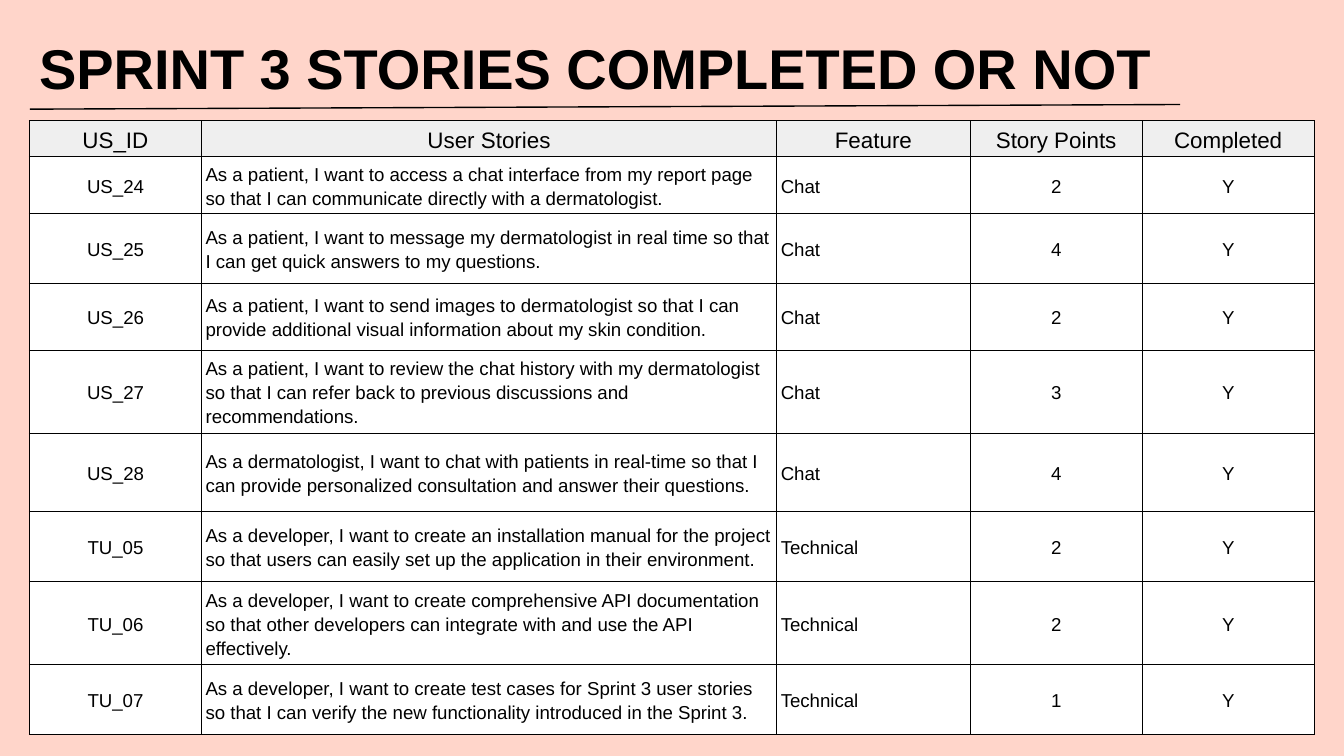
from lxml import etree
from pptx import Presentation
from pptx import util as u
from pptx.dml.color import RGBColor
from pptx.enum import shapes, text
from pptx.oxml.ns import qn

COLORS = {"background": "FFD5CA", "ink": "000000", "header": "EFEFEF", "body": "FFFFFF"}
COLUMN_WIDTHS = [92.16, 308.16, 103.68, 92.16, 92.16]
ROW_HEIGHTS = [19.3, 28.9, 37.5, 35.9, 41.8, 42.3, 37.5, 41.8, 37.5]
LEFT_ALIGNED = {"User Stories", "Feature"}
HEADINGS = ["US_ID", "User Stories", "Feature", "Story Points", "Completed"]
STORIES = [
    ("US_24", "As a patient, I want to access a chat interface from my report page "
     "so that I can communicate directly with a dermatologist.", "Chat", "2", "Y"),
    ("US_25", "As a patient, I want to message my dermatologist in real time so that "
     "I can get quick answers to my questions.", "Chat", "4", "Y"),
    ("US_26", "As a patient, I want to send images to dermatologist so that I can "
     "provide additional visual information about my skin condition.", "Chat", "2", "Y"),
    ("US_27", "As a patient, I want to review the chat history with my dermatologist "
     "so that I can refer back to previous discussions and recommendations.", "Chat", "3", "Y"),
    ("US_28", "As a dermatologist, I want to chat with patients in real-time so that I "
     "can provide personalized consultation and answer their questions.", "Chat", "4", "Y"),
    ("TU_05", "As a developer, I want to create an installation manual for the project "
     "so that users can easily set up the application in their environment.",
     "Technical", "2", "Y"),
    ("TU_06", "As a developer, I want to create comprehensive API documentation "
     "so that other developers can integrate with and use the API effectively.",
     "Technical", "2", "Y"),
    ("TU_07", "As a developer, I want to create test cases for Sprint 3 user stories "
     "so that I can verify the new functionality introduced in the Sprint 3.",
     "Technical", "1", "Y"),
]


class SlideBuilder:
    font_name = "Arial"

    def __init__(self, slide):
        self.slide = slide
        self.fill(slide.background, "background")

    def fill(self, target, color):
        target.fill.solid()
        target.fill.fore_color.rgb = RGBColor.from_string(COLORS[color])

    def style(self, paragraph, size, bold=False):
        font = paragraph.font
        font.name, font.size, font.bold = self.font_name, u.Pt(size), bold
        font.color.rgb = RGBColor.from_string(COLORS["ink"])

    def title(self, wording, left, top, width, height):
        box = self.slide.shapes.add_textbox(u.Pt(left), u.Pt(top), u.Pt(width), u.Pt(height))
        frame = box.text_frame
        frame.word_wrap = True
        frame.margin_left = frame.margin_right = u.Pt(7.2)
        frame.margin_top, frame.margin_bottom = u.Pt(11), 0
        frame.text = wording
        self.style(frame.paragraphs[0], 30, bold=True)

    def rule(self, start, end, width):
        line = self.slide.shapes.add_connector(
            shapes.MSO_CONNECTOR.STRAIGHT, *(u.Pt(value) for value in start + end))
        line.line.width = u.Pt(width)
        line.line.color.rgb = RGBColor.from_string(COLORS["ink"])
        etree.SubElement(line._element.spPr, qn("a:effectLst"))

    def borders(self, cell, width):
        """Outline all four sides; borders must precede the fill in the cell properties."""
        properties = cell._tc.get_or_add_tcPr()
        for index, side in enumerate(("a:lnL", "a:lnR", "a:lnT", "a:lnB")):
            border = etree.Element(qn(side), w=str(u.Pt(width)))
            solid = etree.SubElement(border, qn("a:solidFill"))
            etree.SubElement(solid, qn("a:srgbClr"), val=COLORS["ink"])
            properties.insert(index, border)

    def cell(self, cell, wording, size, color, align):
        cell.text = wording
        cell.vertical_anchor = text.MSO_ANCHOR.MIDDLE
        cell.margin_left = cell.margin_right = u.Pt(2.2)
        cell.margin_top = cell.margin_bottom = u.Pt(1.4)
        paragraph = cell.text_frame.paragraphs[0]
        paragraph.alignment = align
        paragraph.line_spacing = 1.15
        self.style(paragraph, size)
        self.fill(cell, color)
        self.borders(cell, 0.6)

    def table(self, headings, records, left, top):
        rows = [headings, *records]
        table = self.slide.shapes.add_table(
            len(rows), len(headings), u.Pt(left), u.Pt(top),
            u.Pt(sum(COLUMN_WIDTHS)), u.Pt(sum(ROW_HEIGHTS))).table
        for column, width in zip(table.columns, COLUMN_WIDTHS):
            column.width = u.Pt(width)
        for row, height in zip(table.rows, ROW_HEIGHTS):
            row.height = u.Pt(height)
        for r, record in enumerate(rows):
            size, color = (10, "body") if r else (12, "header")
            for c, wording in enumerate(record):
                left_aligned = r and headings[c] in LEFT_ALIGNED
                align = text.PP_ALIGN.LEFT if left_aligned else text.PP_ALIGN.CENTER
                self.cell(table.cell(r, c), wording, size, color, align)


def main():
    deck = Presentation()
    deck.slide_width, deck.slide_height = u.Pt(720), u.Pt(405)
    builder = SlideBuilder(deck.slides.add_slide(deck.slide_layouts[6]))
    builder.title("SPRINT 3 STORIES COMPLETED OR NOT", 13.9, 7.2, 649.4, 42.5)
    builder.rule((16, 58.5), (632.2, 56), 0.75)
    builder.table(HEADINGS, STORIES, 15.8, 64.6)
    deck.save("out.pptx")


if __name__ == "__main__":
    main()
